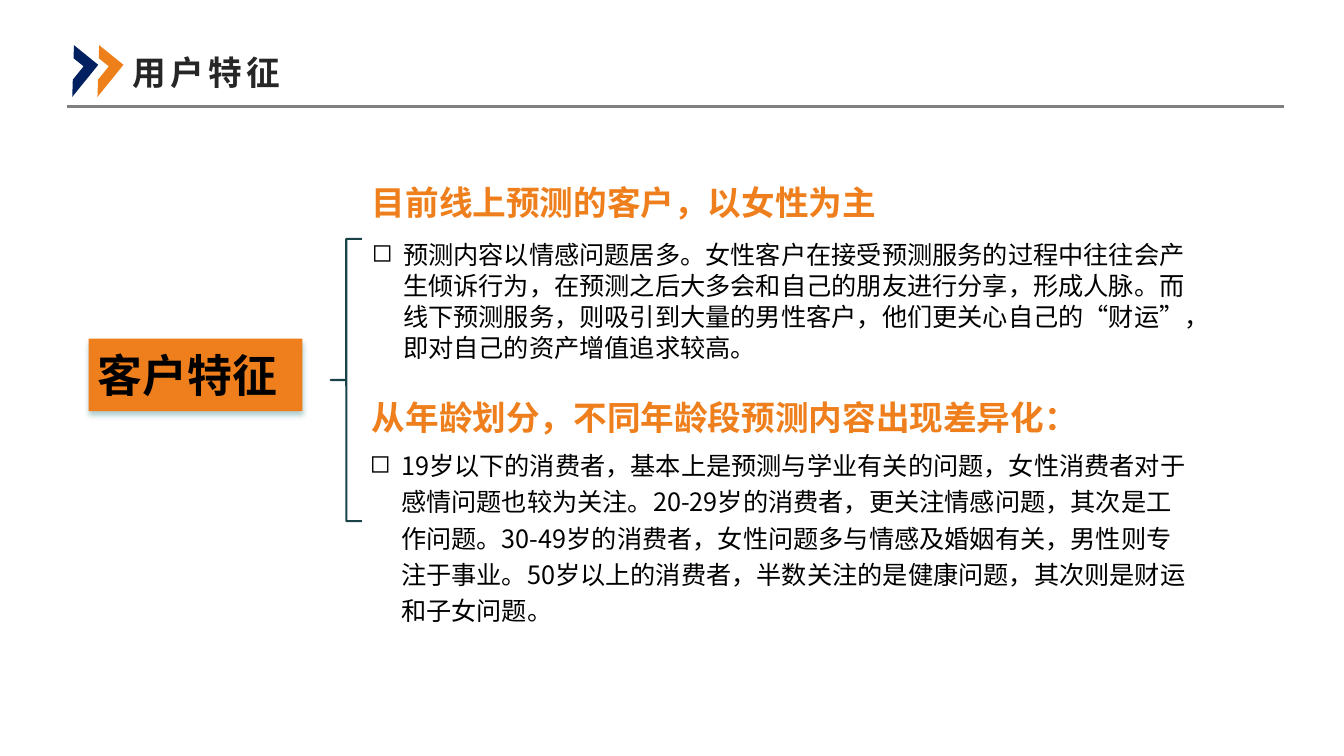
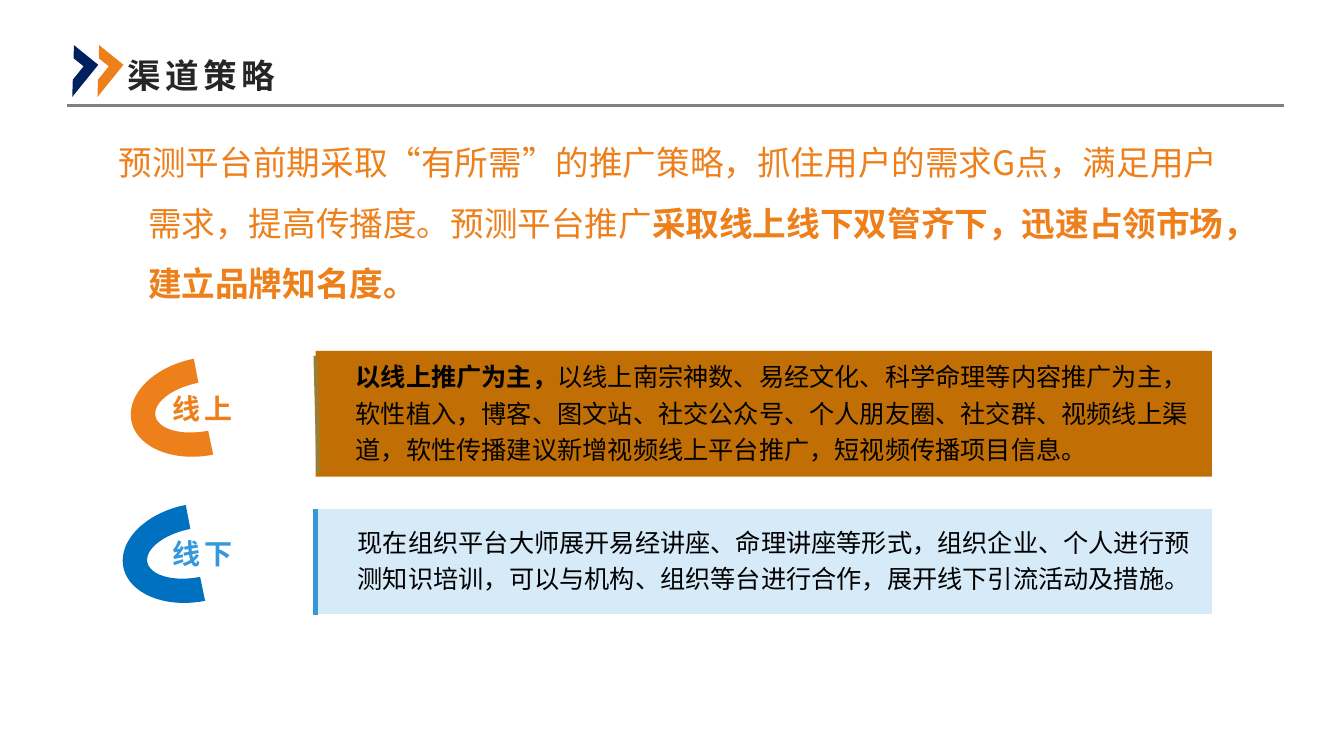
from pptx import Presentation
from pptx.dml.color import RGBColor
from pptx.enum.lang import MSO_LANGUAGE_ID as Language
from pptx.enum.shapes import MSO_CONNECTOR as Connector, MSO_SHAPE as Preset
from pptx.enum.text import MSO_ANCHOR as Anchor, PP_ALIGN as Align
from pptx.oxml.ns import qn
from pptx.util import Inches, Pt
from lxml.etree import SubElement

NAVY, ORANGE, BRIGHT_ORANGE = "002060", "EE7F1C", "EE801C"
BLUE, SKY, PALE_BLUE = "0070C0", "3498DB", "D6EAF8"
BROWN, OLIVE, TEAL, SHADOW = "C16F05", "997E34", "1C4249", "398585"
BLACK, CHARCOAL, GRAY = "000000", "262626", "808080"
BODY_FONT, TITLE_FONT = "Noto Sans CJK SC", "Arial"


def color(value):
    return RGBColor.from_string(value)


def add_run(paragraph, text, size, fill, bold, font_name, spacing):
    run = paragraph.add_run()
    run.text = text
    font = run.font
    font.size, font.bold, font.name = Pt(size), bold, font_name
    font.color.rgb = color(fill)
    font.language_id = Language.SIMPLIFIED_CHINESE
    properties = font._element
    if spacing:
        properties.set("spc", str(spacing * 100))
    SubElement(properties, qn("a:ea"), typeface=BODY_FONT)


def write(shape, *parts, size=18, fill=BLACK, bold=False, font_name=BODY_FONT,
          spacing=0, align=Align.LEFT, anchor=Anchor.TOP, line_spacing=None,
          hanging=0, bullet=None, insets=(0.1, 0.05, 0.1, 0.05), wrap=True):
    frame = shape.text_frame
    frame.word_wrap = wrap
    frame.vertical_anchor = anchor
    (frame.margin_left, frame.margin_top,
     frame.margin_right, frame.margin_bottom) = map(Inches, insets)
    paragraph = frame.paragraphs[0]
    properties = paragraph._p.get_or_add_pPr()
    if hanging:
        properties.set("marL", str(Inches(hanging)))
        properties.set("indent", str(-Inches(hanging)))
    if bullet:
        SubElement(properties, qn("a:buChar"), char=bullet)
    paragraph.alignment = align
    if line_spacing:
        paragraph.line_spacing = line_spacing
    for part in parts:
        text, part_bold = part if isinstance(part, tuple) else (part, bold)
        add_run(paragraph, text, size, fill, part_bold, font_name, spacing)


def add_text(slide, box, *parts, **style):
    write(slide.shapes.add_textbox(*map(Inches, box)), *parts, **style)


def add_preset(slide, preset, box, fill=None, line=None, width=1, rotation=0, adjustments=()):
    shape = slide.shapes.add_shape(preset, *map(Inches, box))
    shape.shadow.inherit = False
    shape.rotation = rotation
    for index, value in enumerate(adjustments):
        shape.adjustments[index] = value
    if fill:
        shape.fill.solid()
        shape.fill.fore_color.rgb = color(fill)
    else:
        shape.fill.background()
    if line:
        shape.line.color.rgb = color(line)
        shape.line.width = Pt(width)
    else:
        shape.line.fill.background()
    return shape


def add_line(slide, start, end, fill, width):
    line = slide.shapes.add_connector(Connector.STRAIGHT, *map(Inches, start + end))
    line.line.color.rgb = color(fill)
    line.line.width = Pt(width)
    SubElement(line._element.spPr, qn("a:effectLst"))


def drop_shadow(shape, fill, opacity, blur, distance, angle):
    effects = shape._element.spPr.find(qn("a:effectLst"))
    shadow = SubElement(effects, qn("a:outerShdw"), blurRad=str(Pt(blur)),
                        dist=str(Pt(distance)), dir=str(angle * 60000),
                        algn="t", rotWithShape="0")
    tint = SubElement(shadow, qn("a:srgbClr"), val=fill)
    SubElement(tint, qn("a:alpha"), val=str(opacity * 1000))


def add_header(slide, title, title_left, title_top, rule_top):
    add_line(slide, (0.66, rule_top), (12.73, rule_top), GRAY, 2.25)
    add_text(slide, (title_left, title_top, 2.23, 0.77), title, size=24, fill=CHARCOAL,
             bold=True, font_name=TITLE_FONT, spacing=3, anchor=Anchor.MIDDLE)
    for index, fill in enumerate((NAVY, BRIGHT_ORANGE)):
        add_preset(slide, Preset.HALF_FRAME, (0.52 + 0.25 * index, 0.55, 0.41, 0.31),
                   fill, rotation=129)


def add_topic(slide, heading_box, heading, body_box, body, **body_style):
    add_text(slide, heading_box, heading, size=24, fill=ORANGE, bold=True, line_spacing=1.2)
    add_text(slide, body_box, body, hanging=0.31, bullet="◻", **body_style)


def add_channel(slide, panel, panel_fill, edge, edge_fill, label, label_top, label_fill,
                arc_left, arc_top, arc_fill, text_offset, parts):
    left, top, width, height = panel
    add_preset(slide, Preset.RECTANGLE, panel, panel_fill)
    add_line(slide, *edge, edge_fill, 3)
    add_text(slide, (0.93, label_top, 2.16, 0.74), label, size=20, fill=label_fill, bold=True,
             font_name=TITLE_FONT, spacing=3, align=Align.CENTER, anchor=Anchor.MIDDLE)
    text_left, text_top = text_offset
    add_text(slide, (left + text_left, top + text_top, 8.55, height - text_top), *parts,
             line_spacing=1.2)
    add_preset(slide, Preset.BLOCK_ARC, (arc_left, arc_top, 0.97, 1.45), arc_fill,
               rotation=259, adjustments=(107.486, 0, 0.25))


def build_features(slide):
    add_preset(slide, Preset.LEFT_BRACE, (3.28, 2.37, 0.31, 2.8), line=TEAL, width=1.5,
               adjustments=(0, 0.5))
    label = add_preset(slide, Preset.RECTANGLE, (0.88, 3.36, 2.12, 0.72), ORANGE)
    drop_shadow(label, SHADOW, 40, 4, 3, 90)
    write(label, "客户特征", size=32, bold=True, anchor=Anchor.MIDDLE,
          insets=(0.09, 0.04, 0.09, 0.04), wrap=False)
    add_topic(slide, (3.59, 1.68, 6, 0.58), "目前线上预测的客户，以女性为主",
              (3.59, 2.37, 8.3, 1.13),
              "预测内容以情感问题居多。女性客户在接受预测服务的过程中往往会产生倾诉行为，"
              "在预测之后大多会和自己的朋友进行分享，形成人脉。而线下预测服务，"
              "则吸引到大量的男性客户，他们更关心自己的“财运”，即对自己的资产增值追求较高。",
              line_spacing=Pt(22), insets=(0.1, 0, 0.1, 0.05))
    add_topic(slide, (3.59, 3.81, 7.49, 0.54), "从年龄划分，不同年龄段预测内容出现差异化：",
              (3.57, 4.36, 8.39, 1.92),
              "19岁以下的消费者，基本上是预测与学业有关的问题，女性消费者对于感情问题也较为关注。"
              "20-29岁的消费者，更关注情感问题，其次是工作问题。"
              "30-49岁的消费者，女性问题多与情感及婚姻有关，男性则专注于事业。"
              "50岁以上的消费者，半数关注的是健康问题，其次则是财运和子女问题。",
              line_spacing=1.2)
    add_header(slide, "用户特征", 1.22, 0.33, 1.06)


def build_channels(slide):
    add_text(slide, (1.08, 1.16, 11.3, 1.95),
             "预测平台前期采取“有所需”的推广策略，抓住用户的需求G点，满足用户需求，"
             "提高传播度。预测平台推广",
             ("采取线上线下双管齐下，迅速占领市场，建立品牌知名度。", True),
             size=24, fill=BRIGHT_ORANGE, line_spacing=1.5, hanging=0.29)
    add_header(slide, "渠道策略", 1.17, 0.36, 1.05)
    add_channel(slide, (3.13, 3.48, 8.89, 1.25), BROWN, ((3.13, 3.53), (3.16, 4.69)), OLIVE,
                "线上", 3.68, BRIGHT_ORANGE, 1.53, 3.31, BRIGHT_ORANGE, (0.3, 0),
                [("以线上推广为主，", True),
                 "以线上南宗神数、易经文化、科学命理等内容推广为主，软性植入，博客、图文站、"
                 "社交公众号、个人朋友圈、社交群、视频线上渠道，"
                 "软性传播建议新增视频线上平台推广，短视频传播项目信息。"])
    add_channel(slide, (3.13, 5.05, 8.89, 1.04), PALE_BLUE, ((3.13, 5.05), (3.13, 6.1)), SKY,
                "线下", 5.12, SKY, 1.45, 4.76, BLUE, (0.32, 0.07),
                ["现在组织平台大师展开易经讲座、命理讲座等形式，组织企业、个人进行预测知识培训，"
                 "可以与机构、组织等台进行合作，展开线下引流活动及措施。"])


def main():
    presentation = Presentation()
    presentation.slide_width, presentation.slide_height = Inches(13.33), Inches(7.5)
    for build in (build_features, build_channels):
        build(presentation.slides.add_slide(presentation.slide_layouts[6]))
    presentation.save("out.pptx")


if __name__ == "__main__":
    main()
